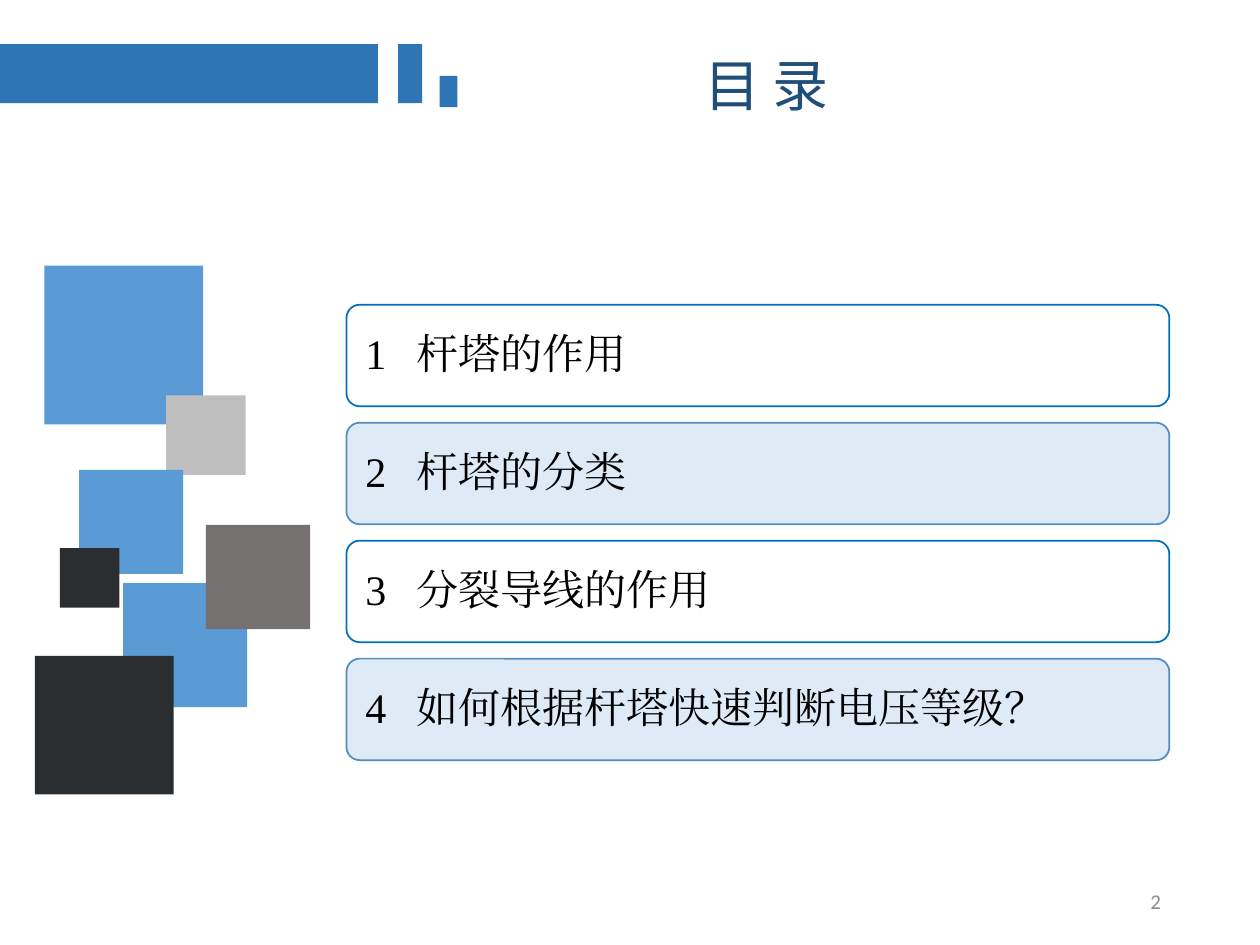
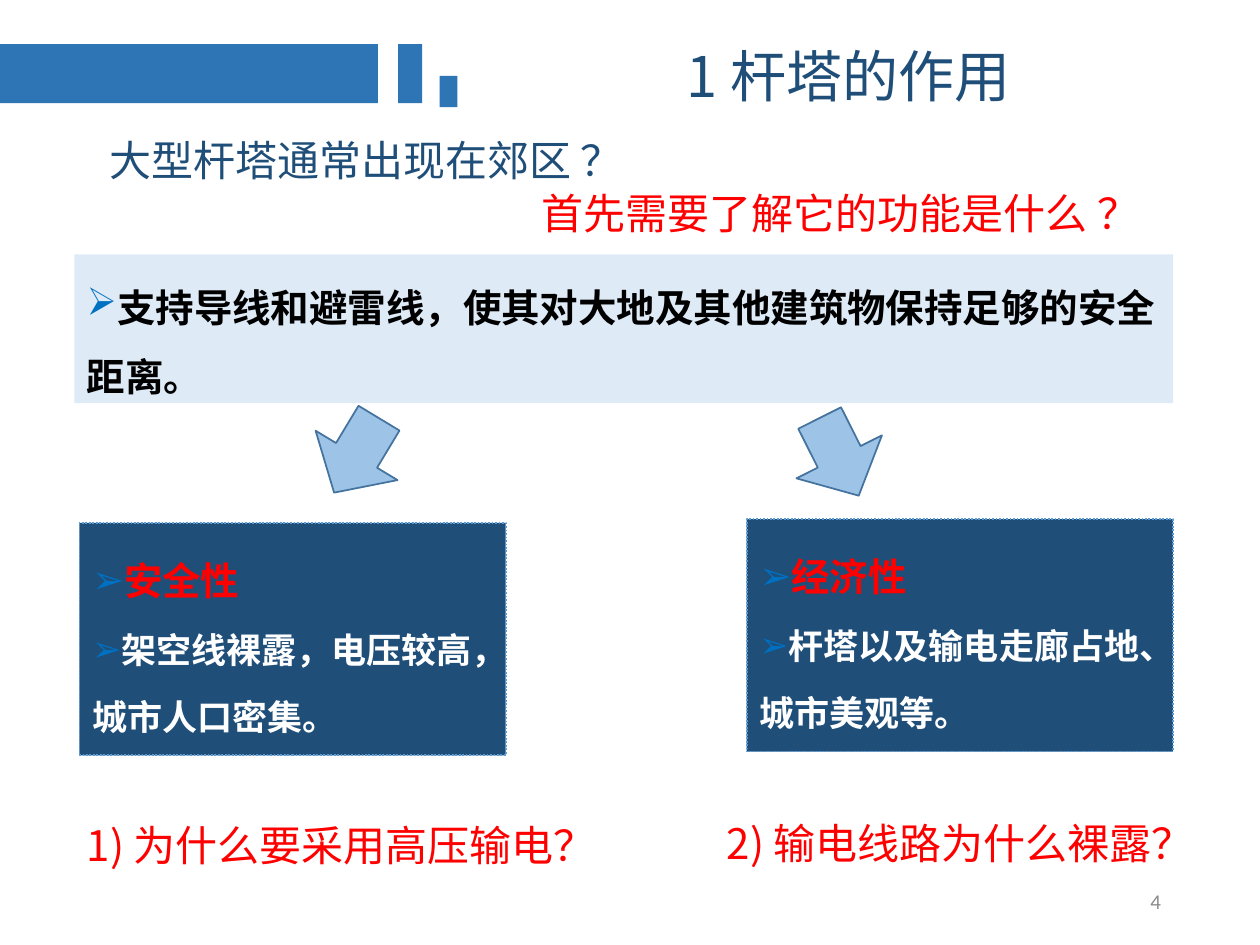
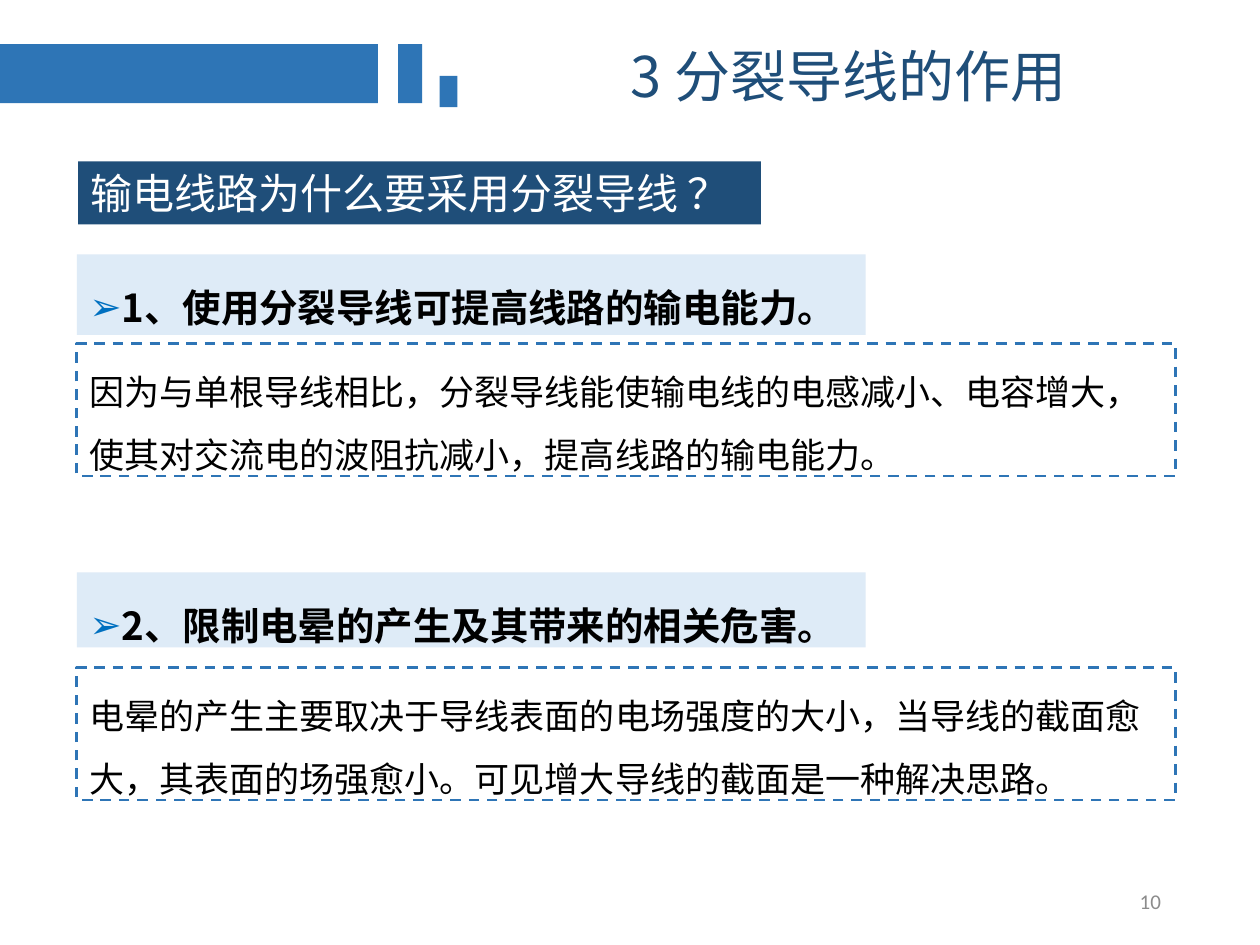
from dataclasses import dataclass
from typing import NamedTuple, Optional

from lxml.etree import SubElement
from pptx import Presentation
from pptx.dml.color import RGBColor
from pptx.enum.dml import MSO_LINE
from pptx.enum.shapes import MSO_SHAPE
from pptx.enum.text import MSO_ANCHOR, MSO_AUTO_SIZE, PP_ALIGN
from pptx.oxml.ns import qn
from pptx.util import Pt

TITLE_ONLY, TWO_CONTENT = 5, 3


@dataclass(frozen=True)
class Theme:
    navy: str = "1F4E79"
    band: str = "2E75B6"
    blue: str = "5B9BD5"
    bright: str = "0070C0"
    pale: str = "DEEBF7"
    pale_edge: str = "538DC1"
    arrow: str = "9DC3E6"
    arrow_edge: str = "43739E"
    silver: str = "BFBFBF"
    stone: str = "767171"
    coal: str = "2B2E30"
    footer: str = "8C8C8C"
    red: str = "FF0000"
    black: str = "000000"
    white: str = "FFFFFF"
    cjk: str = "Noto Sans CJK SC"
    serif: str = "Times New Roman"
    sans: str = "Calibri"
    title_size: float = 32
    lead_size: float = 24
    point_size: float = 22
    detail_size: float = 20
    number_size: float = 12


THEME = Theme()


class Box(NamedTuple):
    left: float
    top: float
    width: float
    height: float


class Border(NamedTuple):
    color: str
    width: float = 1
    dash: Optional[MSO_LINE] = None


class Para(NamedTuple):
    text: str
    size: float = THEME.lead_size
    color: str = THEME.black
    bold: bool = False
    font: str = THEME.cjk
    align: PP_ALIGN = PP_ALIGN.LEFT
    spacing: float = 1
    bullet: bool = False
    tab: float = 0


class Square(NamedTuple):
    left: float
    top: float
    side: float
    color: str


class Card(NamedTuple):
    box: Box
    heading: str
    detail: str


class Arrow(NamedTuple):
    box: Box
    rotation: float


class Label(NamedTuple):
    box: Box
    text: str
    color: str


class Reason(NamedTuple):
    heading_box: Box
    heading: str
    detail_box: Box
    detail: str


HEADER_BARS = [
    Box(0, 25.2, 216, 33.8),
    Box(227.5, 25.2, 13.7, 33.8),
    Box(251.3, 43.4, 10.1, 17.8),
]
NUMBER_BOX = Box(508.5, 500.5, 162, 28.75)
SECTION_TITLE_BOX = Box(275, 20.2, 420, 46)
CARD_BORDER = Border(THEME.blue, 1, MSO_LINE.ROUND_DOT)
DETAIL_BORDER = Border(THEME.band, 1.5, MSO_LINE.DASH)

AGENDA = ["杆塔的作用", "杆塔的分类", "分裂导线的作用", "如何根据杆塔快速判断电压等级？"]
AGENDA_FIRST = Box(198, 174.2, 470.2, 58)
AGENDA_PITCH = 67.4
SQUARES = [
    Square(25.4, 151.8, 90.7, THEME.blue),
    Square(95, 226, 45.4, THEME.silver),
    Square(45.2, 268.5, 59.5, THEME.blue),
    Square(34.2, 313.2, 34, THEME.coal),
    Square(70.3, 333.2, 70.9, THEME.blue),
    Square(117.7, 300, 59.5, THEME.stone),
    Square(20, 374.8, 79.2, THEME.coal),
]

CARDS = [
    Card(Box(45.4, 298.8, 243.6, 132.8), "安全性", "架空线裸露，电压较高，城市人口密集。"),
    Card(Box(426.7, 296.7, 243.6, 132.8), "经济性", "杆塔以及输电走廊占地、城市美观等。"),
]
ARROWS = [
    Arrow(Box(176.4, 235.4, 54.7, 49.7), 31.1),
    Arrow(Box(452.2, 236.2, 54.7, 49.7), 333.3),
]
QUESTIONS = [
    Label(Box(55.4, 73.4, 312.5, 36), "大型杆塔通常出现在郊区 ？", THEME.navy),
    Label(Box(302.4, 103.7, 360.7, 36), "首先需要了解它的功能是什么 ？", THEME.red),
    Label(Box(42.5, 464.6, 310.3, 36), "1) 为什么要采用高压输电？", THEME.red),
    Label(Box(408.2, 463.7, 286.6, 36), "2) 输电线路为什么裸露？", THEME.red),
]

REASONS = [
    Reason(
        Box(43.9, 145.4, 450.7, 46), "1、使用分裂导线可提高线路的输电能力。",
        Box(43.9, 196.4, 628, 75.6),
        "因为与单根导线相比，分裂导线能使输电线的电感减小、电容增大，"
        "使其对交流电的波阻抗减小，提高线路的输电能力。",
    ),
    Reason(
        Box(43.9, 327, 450.7, 43), "2、限制电晕的产生及其带来的相关危害。",
        Box(43.9, 381.5, 628, 75.6),
        "电晕的产生主要取决于导线表面的电场强度的大小，当导线的截面愈大，"
        "其表面的场强愈小。可见增大导线的截面是一种解决思路。",
    ),
]


def points(box: Box) -> list:
    return [Pt(length) for length in box]


def place(shape, box: Box) -> None:
    shape.left, shape.top, shape.width, shape.height = points(box)


def paint(shape, fill: Optional[str], border: Optional[Border] = None) -> None:
    if fill:
        shape.fill.solid()
        shape.fill.fore_color.rgb = RGBColor.from_string(fill)
    else:
        shape.fill.background()
    if border:
        shape.line.color.rgb = RGBColor.from_string(border.color)
        shape.line.width = Pt(border.width)
        if border.dash:
            shape.line.dash_style = border.dash
    else:
        shape.line.fill.background()


def add_bullet(paragraph) -> None:
    """Hang an arrowhead bullet to the left of an unindented paragraph."""
    properties = paragraph._p.get_or_add_pPr()
    properties.set("marL", "0")
    properties.set("indent", str(-Pt(42.5)))
    color = SubElement(properties, qn("a:buClr"))
    SubElement(color, qn("a:srgbClr"), val=THEME.bright)
    SubElement(properties, qn("a:buChar"), char="➢")


def add_tab_stop(paragraph, position: float) -> None:
    tabs = SubElement(paragraph._p.get_or_add_pPr(), qn("a:tabLst"))
    SubElement(tabs, qn("a:tab"), pos=str(Pt(position)), algn="l")


def write(shape, paras: list[Para], anchor=MSO_ANCHOR.TOP, wrap: bool = True) -> None:
    frame = shape.text_frame
    frame.auto_size = MSO_AUTO_SIZE.NONE
    frame.word_wrap = wrap
    frame.vertical_anchor = anchor
    frame.text = "\n".join(para.text for para in paras)
    for paragraph, para in zip(frame.paragraphs, paras):
        if para.bullet:
            add_bullet(paragraph)
        if para.tab:
            add_tab_stop(paragraph, para.tab)
        paragraph.alignment = para.align
        paragraph.line_spacing = para.spacing
        paragraph.space_before = Pt(0)
        for run in paragraph.runs:
            run.font.size = Pt(para.size)
            run.font.bold = para.bold
            run.font.name = para.font
            run.font.color.rgb = RGBColor.from_string(para.color)
            SubElement(run._r.get_or_add_rPr(), qn("a:ea"), typeface=para.font)


def add_block(slide, box: Box, fill: Optional[str], border: Optional[Border] = None,
              kind=MSO_SHAPE.RECTANGLE):
    block = slide.shapes.add_shape(kind, *points(box))
    block.shadow.inherit = False
    paint(block, fill, border)
    return block


def add_label(slide, box: Box, para: Para, anchor=MSO_ANCHOR.TOP, wrap: bool = False) -> None:
    write(slide.shapes.add_textbox(*points(box)), [para], anchor, wrap)


def point(text: str, color: str = THEME.black, size: float = THEME.point_size,
          spacing: float = 1.5) -> Para:
    return Para(text, size, color, bold=True, spacing=spacing, bullet=True)


def start_slide(deck, layout: int, title: str, number: int, title_box: Box = SECTION_TITLE_BOX):
    """Add a slide with its title, header bars and page number."""
    slide = deck.slides.add_slide(deck.slide_layouts[layout])
    place(slide.shapes.title, title_box)
    write(slide.shapes.title,
          [Para(title, THEME.title_size, THEME.navy, align=PP_ALIGN.CENTER)])
    for bar in HEADER_BARS:
        add_block(slide, bar, THEME.band)
    page = Para(str(number), THEME.number_size, THEME.footer,
                font=THEME.sans, align=PP_ALIGN.RIGHT)
    add_label(slide, NUMBER_BOX, page, MSO_ANCHOR.MIDDLE, wrap=True)
    return slide


def build_agenda(deck) -> None:
    slide = start_slide(deck, TITLE_ONLY, "目 录", 2, Box(299.5, 25.2, 277.2, 46))
    for square in SQUARES:
        add_block(slide, Box(square.left, square.top, square.side, square.side), square.color)
    for index, topic in enumerate(AGENDA):
        shaded = index % 2 == 1
        entry = add_block(
            slide, AGENDA_FIRST._replace(top=AGENDA_FIRST.top + index * AGENDA_PITCH),
            THEME.pale if shaded else None,
            Border(THEME.pale_edge if shaded else THEME.bright),
            MSO_SHAPE.ROUNDED_RECTANGLE,
        )
        entry.adjustments[0] = 0.13
        entry.text_frame.margin_left = Pt(8.6)
        write(entry, [Para(f"{index + 1}\t{topic}", font=THEME.serif, spacing=0.9, tab=29)],
              MSO_ANCHOR.MIDDLE)


def build_purpose(deck) -> None:
    slide = start_slide(deck, TWO_CONTENT, "1 杆塔的作用", 4)
    statement = add_block(slide, Box(42.5, 145.4, 628, 85), THEME.pale)
    write(statement, [point("支持导线和避雷线，使其对大地及其他建筑物保持足够的安全距离。")])
    for body, card in zip(list(slide.placeholders)[1:], CARDS):
        place(body, card.box)
        paint(body, THEME.navy, CARD_BORDER)
        write(body, [
            point(card.heading, THEME.red, spacing=1.6),
            point(card.detail, THEME.white, THEME.detail_size, 1.6),
        ])
    for arrow in ARROWS:
        pointer = add_block(slide, arrow.box, THEME.arrow, Border(THEME.arrow_edge),
                            MSO_SHAPE.DOWN_ARROW)
        pointer.rotation = arrow.rotation
    for question in QUESTIONS:
        add_label(slide, question.box, Para(question.text, color=question.color))


def build_bundled_conductors(deck) -> None:
    slide = start_slide(deck, TWO_CONTENT, "3 分裂导线的作用", 10)
    question = add_block(slide, Box(44.6, 92.2, 390.2, 36), THEME.navy)
    write(question, [Para("输电线路为什么要采用分裂导线 ？", color=THEME.white)])
    for body, reason in zip(list(slide.placeholders)[1:], REASONS):
        place(body, reason.heading_box)
        paint(body, THEME.pale)
        write(body, [point(reason.heading)])
        detail = add_block(slide, reason.detail_box, None, DETAIL_BORDER)
        write(detail, [Para(reason.detail, THEME.detail_size, spacing=1.5)])


def main() -> None:
    deck = Presentation()
    deck.slide_width, deck.slide_height = Pt(720), Pt(540)
    build_agenda(deck)
    build_purpose(deck)
    build_bundled_conductors(deck)
    deck.save("out.pptx")


if __name__ == "__main__":
    main()
